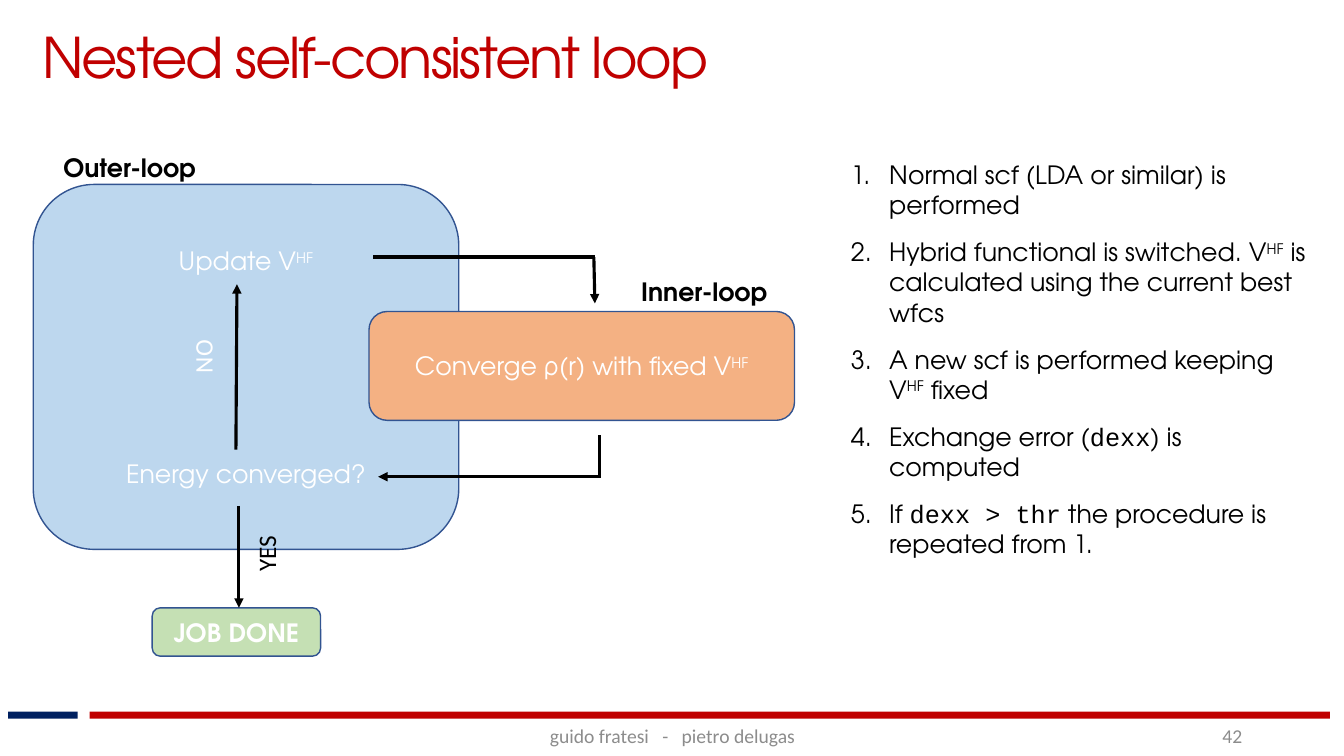
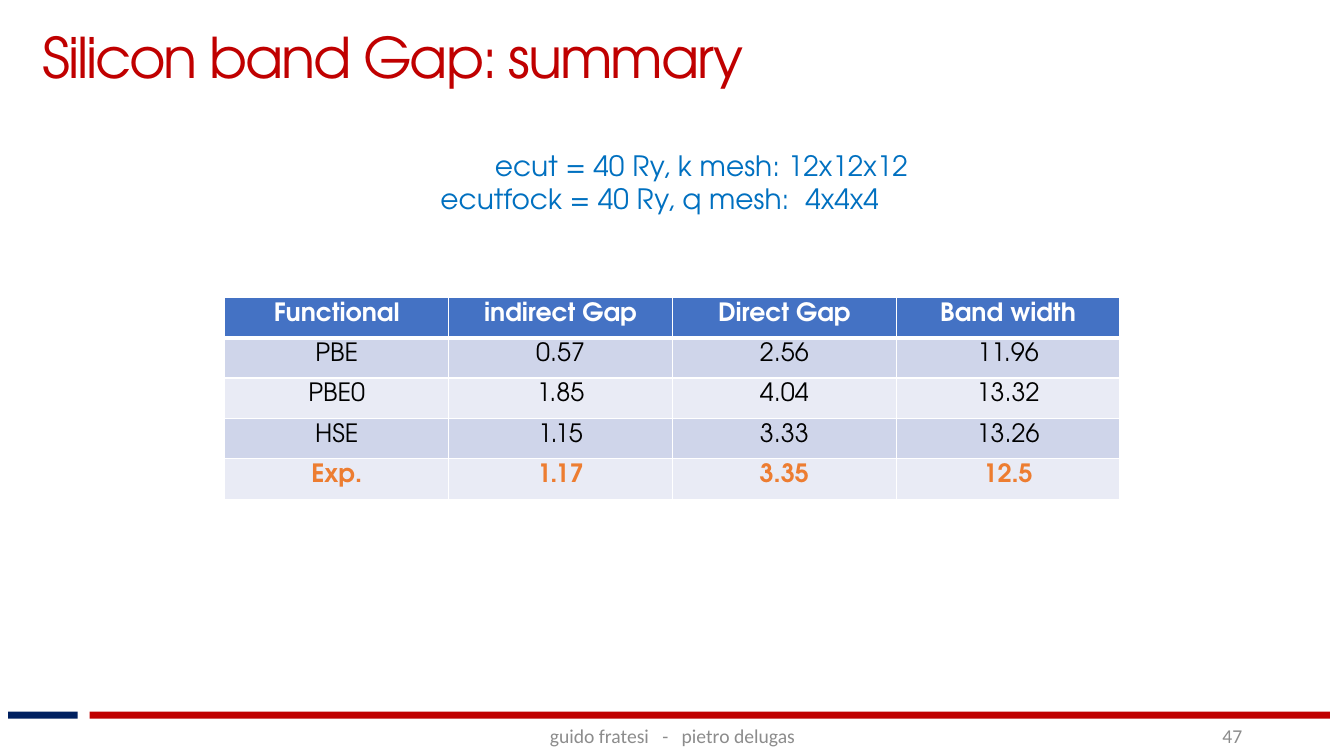
import dataclasses
from typing import Any, Optional

import lxml.etree
import pptx
import pptx.dml.color
import pptx.enum.shapes
import pptx.enum.text
import pptx.oxml.ns
import pptx.util

Inches = pptx.util.Inches
Pt = pptx.util.Pt
SHAPE = pptx.enum.shapes.MSO_SHAPE
ALIGN = pptx.enum.text.PP_ALIGN
ANCHOR = pptx.enum.text.MSO_ANCHOR
qn = pptx.oxml.ns.qn

SANS = "TeX Gyre Adventor"
PLAIN = "Calibri"
MONO = "Courier New"
COLORS = {
    "red": "C00000", "navy": "002060", "gray": "8C8C8C", "black": "000000",
    "white": "FFFFFF", "outline": "325491", "outer": "BDD7EE",
    "inner": "F4B183", "done": "C5E0B4", "link": "0070C0",
    "header": "4472C4", "odd": "CFD5EA", "even": "E9EBF5", "accent": "ED7D31",
}


@dataclasses.dataclass(frozen=True)
class Area:
    left: float
    top: float
    width: float
    height: float

    def lengths(self) -> tuple:
        return tuple(Inches(value) for value in dataclasses.astuple(self))


@dataclasses.dataclass(frozen=True)
class Span:
    text: str
    font: Optional[str] = None
    raised: bool = False
    spacing: float = 0


@dataclasses.dataclass(frozen=True)
class Line:
    spans: tuple
    before: float = 0
    indent: float = 0
    numbered: bool = False


@dataclasses.dataclass(frozen=True)
class Block:
    area: Area
    lines: tuple
    fill: str


@dataclasses.dataclass(frozen=True)
class Label:
    area: Area
    text: str
    font: str = SANS
    color: str = "black"
    bold: bool = False
    rotation: float = 0


@dataclasses.dataclass(frozen=True)
class Stroke:
    start: tuple
    end: tuple
    arrow: bool = False


def rgb(name: str) -> pptx.dml.color.RGBColor:
    return pptx.dml.color.RGBColor.from_string(COLORS[name])


def line(*spans: Any, **layout: Any) -> Line:
    return Line(tuple(Span(s) if isinstance(s, str) else s for s in spans), **layout)


HF = Span("HF", raised=True)

# Text


def write(frame: Any, lines: tuple, *, size: float = 18, font: str = SANS,
          color: str = "black", bold: bool = False, align: Any = ALIGN.LEFT,
          anchor: Any = ANCHOR.TOP) -> None:
    frame.word_wrap = True
    frame.vertical_anchor = anchor
    for index, content in enumerate(lines):
        para = frame.paragraphs[0] if index == 0 else frame.add_paragraph()
        para.alignment = align
        para.space_before = Pt(content.before)
        properties = para._p.get_or_add_pPr()
        if content.indent:
            properties.set("marL", str(Inches(content.indent)))
        if content.numbered:
            properties.set("indent", str(-Inches(content.indent)))
            lxml.etree.SubElement(properties, qn("a:buAutoNum"), type="arabicPeriod")
        for span in content.spans:
            run = para.add_run()
            run.text = span.text
            run.font.size = Pt(size)
            run.font.name = span.font or font
            run.font.bold = bold
            run.font.color.rgb = rgb(color)
            if span.raised:
                run._r.get_or_add_rPr().set("baseline", "30000")
            if span.spacing:
                run._r.get_or_add_rPr().set("spc", str(round(span.spacing * 100)))


def add_text(page: Any, area: Area, *lines: Line, **style: Any) -> Any:
    box = page.shapes.add_textbox(*area.lengths())
    write(box.text_frame, lines, **style)
    return box


# Shapes and lines


def add_box(page: Any, area: Area, fill: str, kind: Any = SHAPE.RECTANGLE,
            outline: Optional[str] = None) -> Any:
    box = page.shapes.add_shape(kind, *area.lengths())
    box.shadow.inherit = False
    box.fill.solid()
    box.fill.fore_color.rgb = rgb(fill)
    if outline:
        box.line.color.rgb = rgb(outline)
        box.line.width = Pt(1)
    else:
        box.line.fill.background()
    return box


def add_block(page: Any, block: Block, bold: bool = False) -> None:
    box = add_box(page, block.area, block.fill, SHAPE.ROUNDED_RECTANGLE, "outline")
    write(box.text_frame, block.lines, color="white", bold=bold,
          align=ALIGN.CENTER, anchor=ANCHOR.MIDDLE)


def add_stroke(page: Any, stroke: Stroke) -> None:
    ends = [Inches(value) for value in stroke.start + stroke.end]
    connector = page.shapes.add_connector(
        pptx.enum.shapes.MSO_CONNECTOR.STRAIGHT, *ends)
    connector.line.color.rgb = rgb("black")
    connector.line.width = Pt(2.25)
    if stroke.arrow:
        lxml.etree.SubElement(connector.line._get_or_add_ln(), qn("a:tailEnd"),
                              type="triangle")
    lxml.etree.SubElement(connector._element.spPr, qn("a:effectLst"))


def add_label(page: Any, label: Label) -> None:
    box = add_text(page, label.area, line(label.text), font=label.font,
                   color=label.color, bold=label.bold)
    box.rotation = label.rotation


# Table


def set_borders(cell: Any, widths: dict) -> None:
    properties = cell._tc.get_or_add_tcPr()
    for side in "LRTB":
        border = lxml.etree.SubElement(properties, qn(f"a:ln{side}"),
                                       w=str(Pt(widths.get(side, 1))))
        fill = lxml.etree.SubElement(border, qn("a:solidFill"))
        lxml.etree.SubElement(fill, qn("a:srgbClr"), val=COLORS["white"])


def add_gap_table(page: Any, area: Area, rows: list) -> None:
    table = page.shapes.add_table(len(rows), len(rows[0]), *area.lengths()).table
    last = len(rows) - 1
    for row_index, row in enumerate(rows):
        if row_index == 0:
            fill, color = "header", "white"
        else:
            fill = "odd" if row_index % 2 else "even"
            color = "accent" if row_index == last else "black"
        thick = {0: {"B": 3}, 1: {"T": 3}}.get(row_index, {})
        for column_index, text in enumerate(row):
            cell = table.cell(row_index, column_index)
            set_borders(cell, thick)
            cell.fill.solid()
            cell.fill.fore_color.rgb = rgb(fill)
            write(cell.text_frame, (line(text),), color=color,
                  bold=row_index in (0, last), align=ALIGN.CENTER)


# Shared page frame


def add_page(deck: Any, title: str, number: int) -> Any:
    page = deck.slides.add_slide(deck.slide_layouts[6])
    add_box(page, Area(0.08, 7.06, 0.69, 0.07), "navy")
    add_box(page, Area(0.89, 7.06, 12.3, 0.07), "red")
    footer = {"size": 14, "font": PLAIN, "color": "gray", "anchor": ANCHOR.MIDDLE}
    gap = Span(" ", spacing=6.3)
    add_text(page, Area(4.42, 7.1, 4.5, 0.4),
             line("guido fratesi", gap, "-", gap, "pietro delugas"),
             align=ALIGN.CENTER, **footer)
    add_text(page, Area(9.42, 7.1, 3, 0.4), line(str(number)),
             align=ALIGN.RIGHT, **footer)
    heading = add_text(page, Area(0.42, 0.01, 12.87, 1.1),
                       line(Span(title, spacing=-1.5)),
                       size=40, color="red", anchor=ANCHOR.MIDDLE)
    frame = heading.text_frame
    frame.margin_left = frame.margin_top = frame.margin_bottom = 0
    frame.margin_right = Inches(0.02)
    return page


# Slides


def build_loop_page(deck: Any) -> None:
    page = add_page(deck, "Nested self-consistent loop", 42)
    add_block(page, Block(Area(0.33, 1.83, 4.22, 3.62), (
        line("Update V", HF), line("Energy converged?", before=130)), "outer"))
    add_block(page, Block(Area(3.66, 3.09, 4.22, 1.08), (
        line("Converge ρ(r) with fixed V", HF),), "inner"))
    add_block(page, Block(Area(1.51, 6.03, 1.67, 0.48),
                          (line("JOB DONE"),), "done"), bold=True)

    steps = (
        ("Normal scf (LDA or similar) is performed",),
        ("Hybrid functional is switched. V", HF,
         " is calculated using the current best wfcs"),
        ("A new scf is performed keeping V", HF, " fixed"),
        ("Exchange error (", Span("dexx", MONO), ") is computed"),
        ("If ", Span("dexx > thr", MONO), " the procedure is repeated from 1."),
    )
    add_text(page, Area(8.34, 1.53, 4.78, 4.08), *(
        line(*step, before=12 if index else 0, indent=0.38, numbered=True)
        for index, step in enumerate(steps)))

    for stroke in (
        Stroke((2.37, 5.02), (2.37, 6.03), arrow=True),
        Stroke((2.34, 4.46), (2.35, 2.82), arrow=True),
        Stroke((3.7, 2.55), (5.9, 2.55)),
        Stroke((5.89, 2.55), (5.9, 3.01), arrow=True),
        Stroke((5.95, 4.32), (5.95, 4.73)),
        Stroke((5.96, 4.73), (3.75, 4.73), arrow=True),
    ):
        add_stroke(page, stroke)

    for label in (
        Label(Area(1.74, 3.33, 0.54, 0.4), "NO", PLAIN, "white", rotation=270),
        Label(Area(2.25, 5.18, 0.78, 0.4), "YES", PLAIN, rotation=270),
        Label(Area(0.53, 1.46, 2.13, 0.4), "Outer-loop", bold=True),
        Label(Area(6.26, 2.69, 2.13, 0.4), "Inner-loop", bold=True),
    ):
        add_label(page, label)


def build_gap_page(deck: Any) -> None:
    page = add_page(deck, "Silicon band Gap: summary", 47)
    add_gap_table(page, Area(2.23, 2.95, 8.88, 2), [
        ["Functional", "indirect Gap", "Direct Gap", "Band width"],
        ["PBE", "0.57", "2.56", "11.96"],
        ["PBE0", "1.85", "4.04", "13.32"],
        ["HSE", "1.15", "3.33", "13.26"],
        ["Exp.", "1.17", "3.35", "12.5"],
    ])
    add_text(page, Area(4.27, 1.42, 4.94, 0.77),
             line("ecut = 40 Ry, k mesh: 12x12x12", indent=0.54),
             line("ecutfock = 40 Ry, q mesh:", Span(" ", spacing=5.5), "4x4x4"),
             size=20, color="link")


def main() -> None:
    deck = pptx.Presentation()
    deck.slide_width = Inches(13.33)
    deck.slide_height = Inches(7.5)
    build_loop_page(deck)
    build_gap_page(deck)
    deck.save("out.pptx")


if __name__ == "__main__":
    main()
